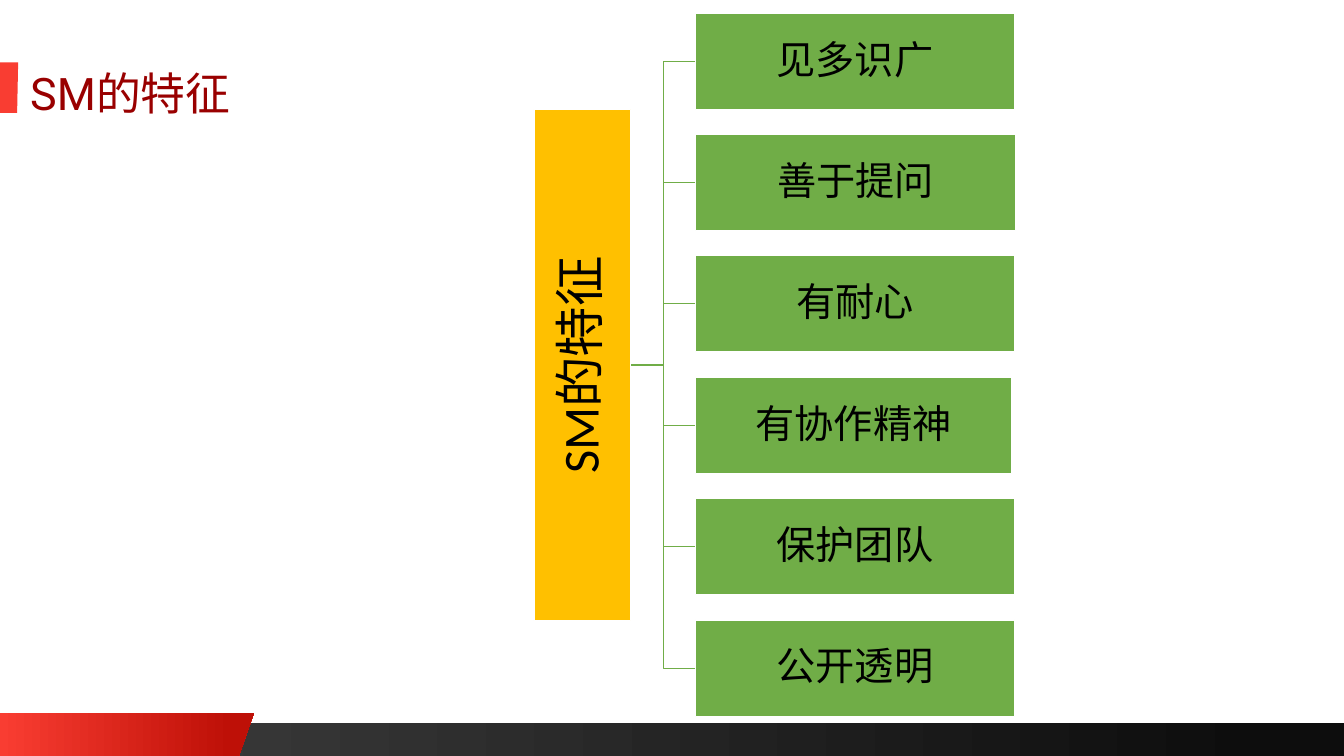
from collections import namedtuple

from pptx import Presentation
from pptx.dml.color import RGBColor
from pptx.enum.shapes import MSO_SHAPE
from pptx.enum.text import MSO_ANCHOR, PP_ALIGN
from pptx.util import Emu, Pt

PX = 9144
Box = namedtuple("Box", "left top width height")

GREEN, AMBER, WHITE, BLACK = "70AD47", "FFC000", "FFFFFF", "000000"
RED, DARK_RED, TITLE_RED = "F93D32", "BE1007", "990000"
CHARCOAL, NEAR_BLACK = "404040", "0D0D0D"
TRAITS = [("见多识广", 316), ("善于提问", 317), ("有耐心", 316),
          ("有协作精神", 313), ("保护团队", 316), ("公开透明", 316)]


def color(value):
    """Turn a hex string into a colour."""
    return RGBColor.from_string(value)


def emu(box):
    """Turn a box in px into four EMU lengths."""
    return [Emu(length * PX) for length in box]


def paint(shape, fill=None, line=None):
    """Set solid fill and outline, leaving out whichever is not given."""
    shape.shadow.inherit = False
    if fill:
        shape.fill.solid()
        shape.fill.fore_color.rgb = color(fill)
    else:
        shape.fill.background()
    if line:
        shape.line.color.rgb = color(line)
        shape.line.width = Pt(1)
    else:
        shape.line.fill.background()


def shade(shape, start, end, end_position):
    """Fill a shape with a gradient from left to right."""
    shape.fill.gradient()
    shape.fill.gradient_angle = 0
    stops = shape.fill.gradient_stops
    for stop, value, position in zip(stops, (start, end), (0, end_position)):
        stop.color.rgb = color(value)
        stop.position = position


def add_outline(page, points, close=True):
    """Draw a freeform through points given in px."""
    builder = page.shapes.build_freeform(*points[0], scale=PX)
    builder.add_line_segments(points[1:], close=close)
    return builder.convert_to_shape()


def add_slanted(page, box, slant):
    """Draw a block whose right edge leans in by slant at the bottom."""
    right, bottom = box.left + box.width, box.top + box.height
    shape = add_outline(page, [(box.left, box.top), (right, box.top),
                               (right - slant, bottom), (box.left, bottom)])
    paint(shape, RED)
    return shape


def write(frame, text, size, font, value, spacing, margins):
    """Write one run with its font, line spacing and margins."""
    frame.word_wrap = True
    frame.margin_left = frame.margin_right = Emu(margins[0] * PX)
    frame.margin_top = frame.margin_bottom = Emu(margins[1] * PX)
    para = frame.paragraphs[0]
    para.line_spacing = spacing
    span = para.add_run()
    span.text = text
    span.font.size = Pt(size)
    span.font.name = font
    span.font.color.rgb = color(value)
    return para


def add_label(page, box, text, size, fill, margin):
    """Add a filled rectangle with centred text."""
    shape = page.shapes.add_shape(MSO_SHAPE.RECTANGLE, *emu(box))
    paint(shape, fill, WHITE)
    frame = shape.text_frame
    frame.vertical_anchor = MSO_ANCHOR.MIDDLE
    para = write(frame, text, size, "Calibri", BLACK, 0.9, (margin, margin))
    para.alignment = PP_ALIGN.CENTER
    return shape


def add_footer(page, box):
    """Add the dark strip and the red slanted block over its left end."""
    strip = Box(box.left, box.top + 10, box.width, box.height - 10)
    bar = page.shapes.add_shape(MSO_SHAPE.RECTANGLE, *emu(strip))
    paint(bar)
    shade(bar, CHARCOAL, NEAR_BLACK, 0.94)
    block = add_slanted(page, Box(box.left, box.top, 252, box.height), 15)
    shade(block, RED, DARK_RED, 0.91)


def add_title(page, box, text):
    """Add the red marker and the title beside it."""
    add_slanted(page, Box(box.left, box.top + 6, 18, 50), 1)
    area = Box(box.left + 21, box.top, box.width - 21, box.height)
    frame = page.shapes.add_textbox(*emu(area)).text_frame
    write(frame, text, 32, "Roboto", TITLE_RED, 1.1, (9, 4))


def add_hierarchy(page, box, root_text, traits):
    """Add the upright root, the trait boxes and the elbows between them."""
    thickness, root_length, gap = 96, 507, 64
    middle = box.top + box.height // 2
    root_right = box.left + thickness
    trait_left = root_right + gap
    elbow = root_right + gap // 2
    travel = box.height - thickness
    tops = [box.top + index * travel // (len(traits) - 1)
            for index in range(len(traits))]

    for top in tops:
        center = top + thickness // 2
        line = add_outline(page, [(root_right, middle), (elbow, middle),
                                  (elbow, center), (trait_left, center)], False)
        paint(line, line=GREEN)

    root_box = Box(box.left + (thickness - root_length) // 2,
                   middle - thickness // 2, root_length, thickness)
    add_label(page, root_box, root_text, 36, AMBER, 3).rotation = 270
    for top, (text, width) in zip(tops, traits):
        add_label(page, Box(trait_left, top, width, thickness), text, 28, GREEN, 2)


def main():
    """Build the slide and save it."""
    deck = Presentation()
    deck.slide_width, deck.slide_height = Emu(1333 * PX), Emu(750 * PX)
    page = deck.slides.add_slide(deck.slide_layouts[6])
    page.background.fill.solid()
    page.background.fill.fore_color.rgb = color(WHITE)
    add_footer(page, Box(0, 707, 1333, 43))
    add_title(page, Box(0, 56, 919, 68), "SM的特征")
    add_hierarchy(page, Box(530, 13, 477, 698), "SM的特征", TRAITS)
    deck.save("out.pptx")


if __name__ == "__main__":
    main()
